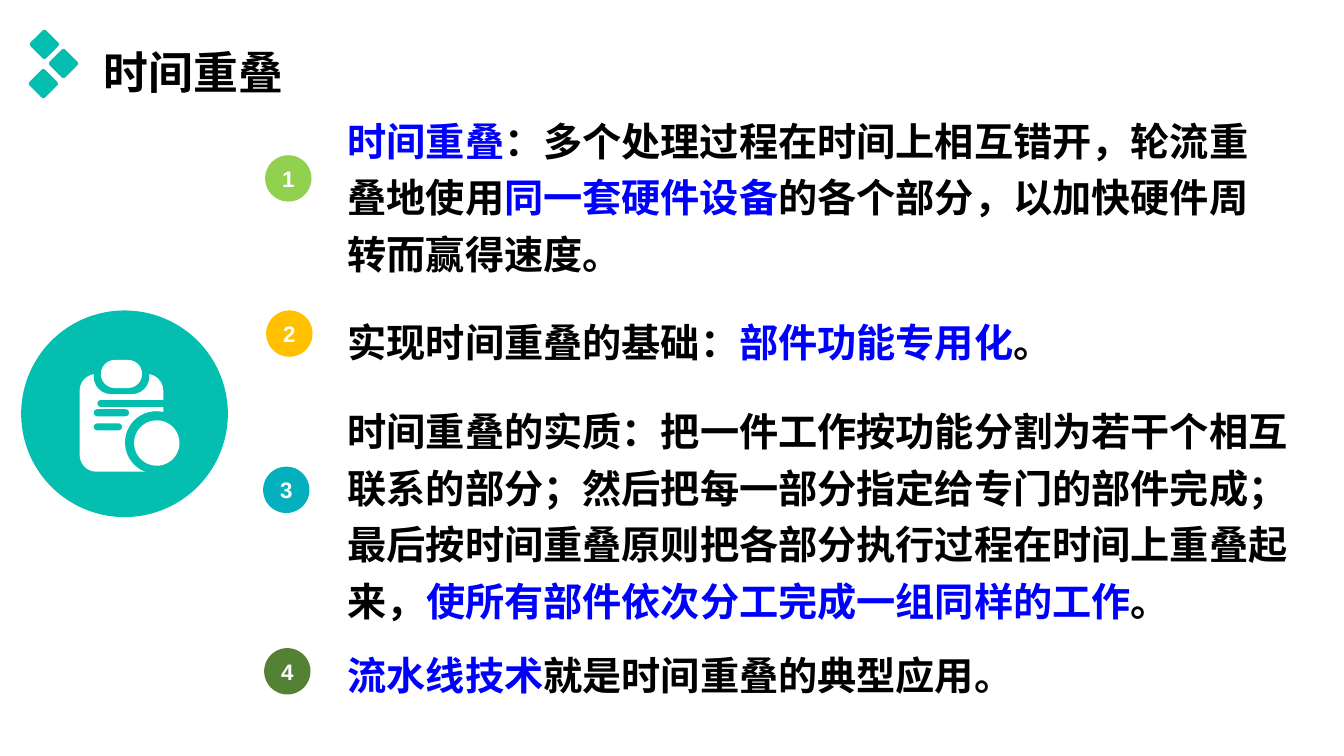
"""Build the slide that explains time overlapping in four numbered points."""
from lxml.etree import SubElement
from pptx import Presentation
from pptx.dml.color import RGBColor
from pptx.enum.shapes import MSO_SHAPE
from pptx.enum.text import MSO_ANCHOR, PP_ALIGN
from pptx.oxml.ns import qn
from pptx.util import Inches, Pt

COLORS = {
    "teal": "04BEB0", "white": "FFFFFF", "black": "000000", "blue": "0000FF",
    "green": "92D050", "amber": "FFC000", "cyan": "04B0BE", "forest": "548235",
}
CJK, LATIN = "Noto Sans CJK SC", "Arial"
TITLE = "时间重叠"

# badge left, badge top, badge colour, text top, width, height, wrap, runs
POINTS = [
    (2.63, 1.54, "green", 1.02, 9.17, 1.8, True, [
        ("时间重叠", "blue"),
        ("：多个处理过程在时间上相互错开，轮流重叠地使用", "black"),
        ("同一套硬件设备", "blue"),
        ("的各个部分，以加快硬件周转而赢得速度。", "black")]),
    (2.64, 3.08, "amber", 3.02, 7.27, 0.67, False, [
        ("实现时间重叠的基础：", "black"),
        ("部件功能专用化", "blue"),
        ("。", "black")]),
    (2.61, 4.63, "cyan", 3.9, 9.68, 2.36, True, [
        ("时间重叠的实质：把一件工作按功能分割为若干个相互联系的部分；"
         "然后把每一部分指定给专门的部件完成；"
         "最后按时间重叠原则把各部分执行过程在时间上重叠起来，", "black"),
        ("使所有部件依次分工完成一组同样的工作", "blue"),
        ("。", "black")]),
    (2.62, 6.43, "forest", 6.32, 7, 0.67, False, [
        ("流水线技术", "blue"),
        ("就是时间重叠的典型应用。", "black")]),
]
TEXT_LEFT, BADGE = 3.35, 0.46

DIAMOND_CENTERS = [(0.44, 0.44), (0.63, 0.63), (0.43, 0.83)]
DIAMOND_SIDE = 0.22

# left, top, width, height, corner share, colour
CLIPBOARD = [
    (0.21, 3.08, 2.05, 2.05, None, "teal"),
    (0.79, 3.71, 0.83, 0.97, 0.2, "white"),
    (0.93, 3.5, 0.55, 0.41, 0.42, "teal"),
    (1.0, 3.57, 0.41, 0.28, 0.5, "white"),
    (0.93, 4.06, 0.35, 0.07, 0.5, "teal"),
    (0.93, 4.2, 0.28, 0.07, 0.5, "teal"),
    (1.24, 4.08, 0.62, 0.62, None, "teal"),
    (1.33, 4.17, 0.45, 0.45, None, "white"),
]
CHECK = [(1.45, 4.39), (1.52, 4.46), (1.64, 4.33)]


def rgb(name):
    return RGBColor.from_string(COLORS[name])


def add_solid(slide, left, top, width, height, corner, color):
    kind = MSO_SHAPE.OVAL if corner is None else MSO_SHAPE.ROUNDED_RECTANGLE
    s = slide.shapes.add_shape(kind, *map(Inches, (left, top, width, height)))
    if corner is not None:
        s.adjustments[0] = corner
    s.shadow.inherit = False
    s.fill.solid()
    s.fill.fore_color.rgb = rgb(color)
    s.line.fill.background()
    return s


def write(s, runs, size, font, align=PP_ALIGN.LEFT, anchor=MSO_ANCHOR.TOP, spacing=1.2, wrap=True):
    tf = s.text_frame
    tf.word_wrap = wrap
    tf.vertical_anchor = anchor
    p = tf.paragraphs[0]
    p.alignment = align
    p.line_spacing = spacing
    p.font.size = Pt(size)
    p.font.bold = True
    p.font.name = font
    SubElement(p.font._element, qn("a:ea")).set("typeface", font)
    for text, color in runs:
        r = p.add_run()
        r.text = text
        r.font.color.rgb = rgb(color)


def add_check(slide):
    builder = slide.shapes.build_freeform(*CHECK[0], scale=Inches(1))
    builder.add_line_segments(CHECK[1:], close=False)
    s = builder.convert_to_shape()
    s.shadow.inherit = False
    s.fill.background()
    s.line.color.rgb = rgb("teal")
    s.line.width = Pt(5)
    s._element.spPr.find(qn("a:ln")).set("cap", "rnd")


def main():
    prs = Presentation()
    prs.slide_width, prs.slide_height = Inches(13.33), Inches(7.5)
    slide = prs.slides.add_slide(prs.slide_layouts[5])

    title = slide.shapes.title
    title.left, title.top, title.width, title.height = map(Inches, (0.93, 0.29, 2, 0.69))
    write(title, [(TITLE, "black")], 32, CJK, wrap=False)

    for x, y in DIAMOND_CENTERS:
        half = DIAMOND_SIDE / 2
        s = add_solid(slide, x - half, y - half, DIAMOND_SIDE, DIAMOND_SIDE, 0.12, "teal")
        s.rotation = 45

    for part in CLIPBOARD:
        add_solid(slide, *part)
    add_check(slide)

    for number, (left, badge_top, color, top, width, height, wrap, runs) in enumerate(POINTS, 1):
        badge = add_solid(slide, left, badge_top, BADGE, BADGE, None, color)
        write(badge, [(str(number), "white")], 16, LATIN, PP_ALIGN.CENTER, MSO_ANCHOR.MIDDLE, 1.0)
        box = slide.shapes.add_textbox(*map(Inches, (TEXT_LEFT, top, width, height)))
        write(box, runs, 28, CJK, wrap=wrap)

    prs.save("out.pptx")


if __name__ == "__main__":
    main()
